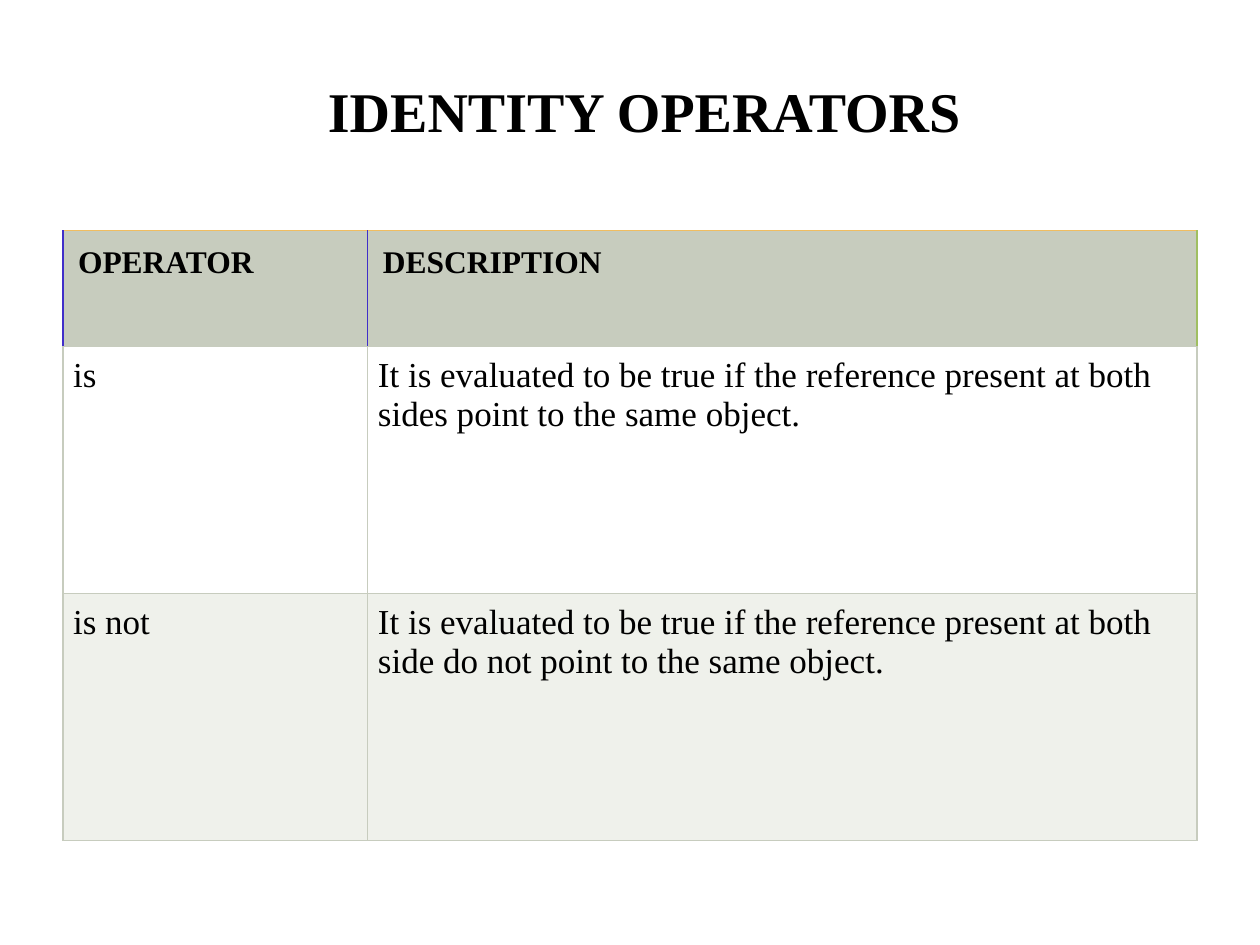
from lxml import etree
from pptx import Presentation
from pptx.dml.color import RGBColor
from pptx.enum.text import MSO_ANCHOR, PP_ALIGN
from pptx.oxml.ns import qn
from pptx.util import Inches, Pt

MIDDLE, CENTER, LEFT = MSO_ANCHOR.MIDDLE, PP_ALIGN.CENTER, PP_ALIGN.LEFT

TITLE = "IDENTITY OPERATORS "
ROWS = [
    ("OPERATOR", "DESCRIPTION"),
    ("is", "It is evaluated to be true if the reference present at both "
           "sides point to the same object."),
    ("is not", "It is evaluated to be true if the reference present at both "
               "side do not point to the same object."),
]
COLUMN_WIDTHS = (2.42, 6.58)
ROW_HEIGHTS = (0.92, 1.96, 1.96)
ROW_FILLS = ("C7CCBE", "FFFFFF", "EFF1EB")
GRID, BLUE, ORANGE, GREEN = "C7CCBE", "402EC9", "F0BD61", "A0BF61"
BODY_BORDERS = {"L": GRID, "R": GRID, "T": GRID, "B": GRID}
HEADER_BORDERS = [
    {"L": BLUE, "R": BLUE, "T": ORANGE, "B": GRID},
    {"L": BLUE, "R": GREEN, "T": ORANGE, "B": GRID},
]


def color(value):
    return RGBColor.from_string(value)


def write(frame, text, size, bold=False, align=LEFT):
    para = frame.paragraphs[0]
    para.alignment = align
    span = para.add_run()
    span.text = text
    span.font.name = "Times New Roman"
    span.font.size = Pt(size)
    span.font.bold = bold
    span.font.color.rgb = color("000000")


def set_borders(cell, borders, width=0.75):
    """Put the border lines ahead of the fill, as the cell schema requires."""
    properties = cell._tc.get_or_add_tcPr()
    for index, (side, value) in enumerate(borders.items()):
        line = etree.Element(qn(f"a:ln{side}"), w=str(Pt(width)))
        fill = etree.SubElement(line, qn("a:solidFill"))
        etree.SubElement(fill, qn("a:srgbClr"), val=value)
        properties.insert(index, line)


def add_title(page):
    box = page.shapes.add_textbox(Inches(0.67), Inches(0.25), Inches(9), Inches(1.25))
    box.text_frame.word_wrap = True
    box.text_frame.vertical_anchor = MIDDLE
    write(box.text_frame, TITLE, size=32, bold=True, align=CENTER)


def add_operator_table(page):
    table = page.shapes.add_table(
        len(ROWS), len(COLUMN_WIDTHS), Inches(0.5), Inches(1.83),
        Inches(sum(COLUMN_WIDTHS)), Inches(sum(ROW_HEIGHTS))).table
    for column, width in zip(table.columns, COLUMN_WIDTHS):
        column.width = Inches(width)
    for row, height in zip(table.rows, ROW_HEIGHTS):
        row.height = Inches(height)
    for r, texts in enumerate(ROWS):
        header = r == 0
        inset = Inches(0.12 if header else 0.08)
        for c, text in enumerate(texts):
            cell = table.cell(r, c)
            cell.margin_left = cell.margin_right = inset
            cell.margin_top = cell.margin_bottom = inset
            cell.fill.solid()
            cell.fill.fore_color.rgb = color(ROW_FILLS[r])
            set_borders(cell, HEADER_BORDERS[c] if header else BODY_BORDERS)
            write(cell.text_frame, text, size=18 if header else 20, bold=header)


def main():
    deck = Presentation()
    deck.slide_width, deck.slide_height = Inches(10), Inches(7.5)
    page = deck.slides.add_slide(deck.slide_layouts[6])
    add_title(page)
    add_operator_table(page)
    deck.save("out.pptx")


if __name__ == "__main__":
    main()
